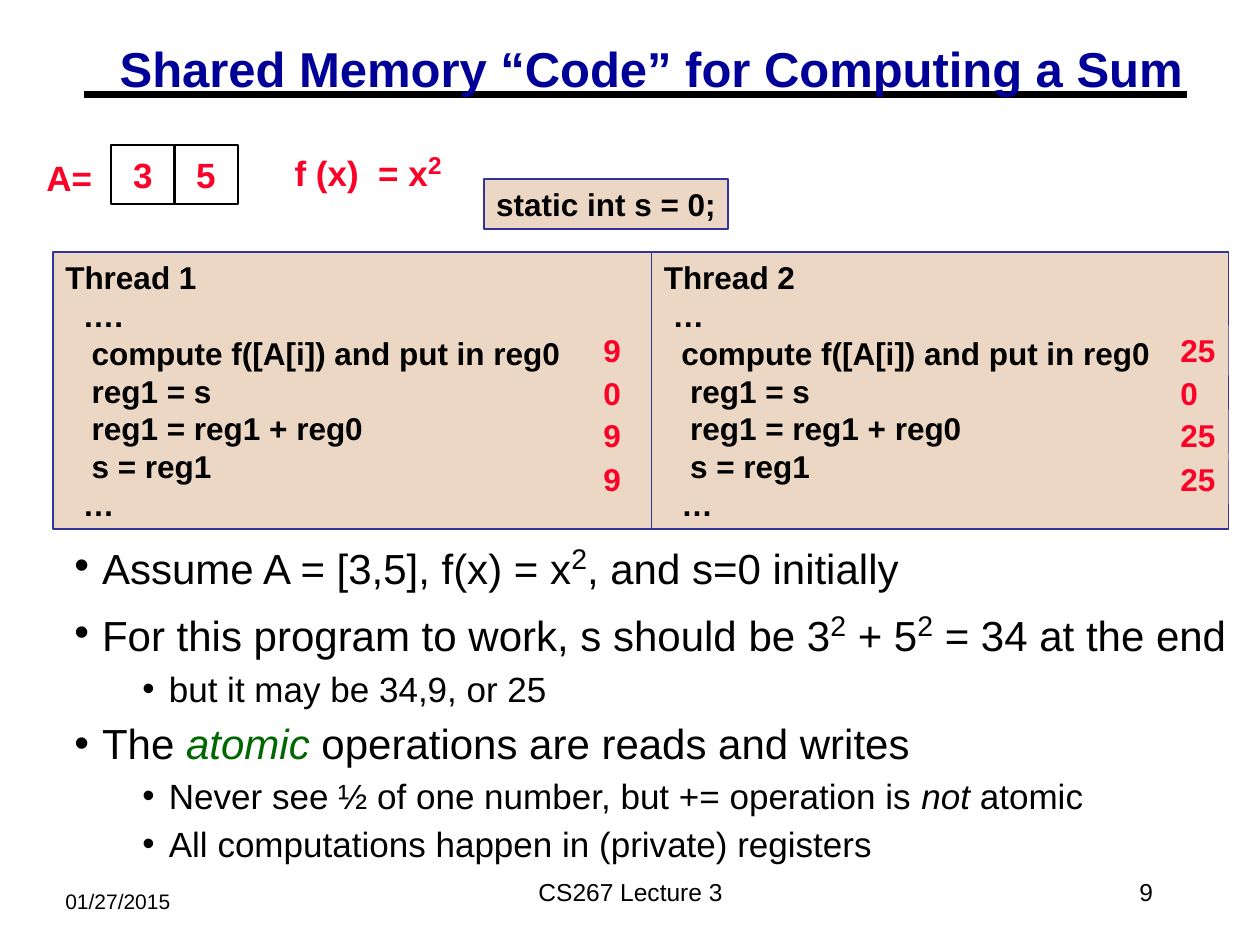
from dataclasses import dataclass
from typing import Optional

from lxml.etree import SubElement
from pptx import Presentation
from pptx.dml.color import RGBColor
from pptx.enum.shapes import MSO_CONNECTOR, MSO_SHAPE
from pptx.enum.text import MSO_ANCHOR as Anchor, PP_ALIGN as Align
from pptx.oxml.ns import qn
from pptx.util import Inches, Pt

BLACK = RGBColor(0x00, 0x00, 0x00)
NAVY = RGBColor(0x00, 0x00, 0x99)
BORDER = RGBColor(0x33, 0x33, 0x99)
SAND = RGBColor(0xEB, 0xD7, 0xC3)
RED = RGBColor(0xFC, 0x01, 0x28)
GREEN = RGBColor(0x00, 0x66, 0x00)
FONT = "Arial"


@dataclass
class Span:
    text: str
    size: Optional[float] = None
    color: RGBColor = BLACK
    italic: bool = False
    raised: bool = False


@dataclass
class Bullet:
    spans: list[Span]
    level: int = 0


@dataclass
class Box:
    left: float
    top: float
    width: float
    height: float
    text: str
    size: float = 18
    color: RGBColor = BLACK
    bold: bool = True
    fill: Optional[RGBColor] = None
    line: Optional[RGBColor] = None
    align: Align = Align.LEFT
    anchor: Anchor = Anchor.TOP
    wrap: bool = False


def style(r, size: float, color: RGBColor, bold: bool = False) -> None:
    r.font.name = FONT
    r.font.size = Pt(size)
    r.font.bold = bold
    r.font.color.rgb = color


def raise_run(r) -> None:
    r.font._element.set("baseline", "30000")


def set_margins(tf, side: float, end: float) -> None:
    tf.margin_left = tf.margin_right = Inches(side)
    tf.margin_top = tf.margin_bottom = Inches(end)


def draw_box(s, box: Box):
    place = [Inches(v) for v in (box.left, box.top, box.width, box.height)]
    if box.fill is None and box.line is None:
        sp = s.shapes.add_textbox(*place)
    else:
        sp = s.shapes.add_shape(MSO_SHAPE.RECTANGLE, *place)
        sp.shadow.inherit = False
        for fill, color in ((sp.fill, box.fill), (sp.line.fill, box.line)):
            if color is None:
                fill.background()
            else:
                fill.solid()
                fill.fore_color.rgb = color
        if box.line is not None:
            sp.line.width = Pt(1)
    tf = sp.text_frame
    set_margins(tf, 0.1, 0.05)
    tf.word_wrap = box.wrap
    tf.vertical_anchor = box.anchor
    tf.text = box.text
    for p in tf.paragraphs:
        p.alignment = box.align
        for r in p.runs:
            style(r, box.size, box.color, box.bold)
    return sp


def draw_title(s, text: str) -> None:
    rule = s.shapes.add_connector(
        MSO_CONNECTOR.STRAIGHT, Inches(0.67), Inches(0.75), Inches(9.42), Inches(0.75))
    rule.line.color.rgb = BLACK
    rule.line.width = Pt(3.75)
    SubElement(rule.element.spPr, qn("a:effectLst"))
    title = s.shapes.title
    rule.element.addnext(title.element)
    title.left, title.top = Inches(0.88), Inches(0.34)
    title.width, title.height = Inches(8.59), Inches(0.46)
    tf = title.text_frame
    set_margins(tf, 0.07, 0.03)
    tf.word_wrap = True
    tf.vertical_anchor = Anchor.TOP
    tf.text = text
    p = tf.paragraphs[0]
    p.alignment = Align.LEFT
    p.line_spacing = 0.87
    style(p.runs[0], 28, NAVY, True)


def draw_bullets(s, bullets: list[Bullet]) -> None:
    sp = s.shapes.add_textbox(Inches(0.52), Inches(4.22), Inches(9.48), Inches(2.67))
    tf = sp.text_frame
    tf.word_wrap = True
    set_margins(tf, 0.07, 0.03)
    for i, bullet in enumerate(bullets):
        size, before, margin, hang = ((24, 4.5, 0.22, 0.22), (20, 3.7, 0.75, 0.21))[bullet.level]
        p = tf.add_paragraph() if i else tf.paragraphs[0]
        p.level = bullet.level
        if i:
            p.space_before = Pt(before)
        pPr = p._p.get_or_add_pPr()
        pPr.set("marL", str(Inches(margin)))
        pPr.set("indent", str(-Inches(hang)))
        color = SubElement(pPr, qn("a:buClr"))
        SubElement(color, qn("a:srgbClr"), val=str(BLACK))
        SubElement(pPr, qn("a:buFont"), typeface=FONT)
        SubElement(pPr, qn("a:buChar"), char="•")
        for span in bullet.spans:
            r = p.add_run()
            r.text = span.text
            style(r, span.size or size, span.color)
            r.font.italic = span.italic
            if span.raised:
                raise_run(r)


def draw_threads(s) -> None:
    top, height = 2, 2.2
    steps = "   reg1 = s\n   reg1 = reg1 + reg0\n   s = reg1\n  …"
    compute = "compute f([A[i]) and put in reg0"
    threads = (
        (0.42, 4.75, f"Thread 1\n  ….\n   {compute}\n{steps}"),
        (5.17, 4.58, f"Thread 2\n …\n  {compute}\n{steps}"),
    )
    for left, width, code in threads:
        draw_box(s, Box(left, top, width, height, code, fill=SAND, line=BORDER, wrap=True))
    draw_box(s, Box(3.84, 1.42, 1.94, 0.4, "static int s = 0;", fill=SAND, line=BORDER))
    for left, values in ((4.69, ("9", "0", "9", "9")), (9.27, ("25", "0", "25", "25"))):
        for y, value in zip((2.58, 2.92, 3.25, 3.6), values):
            width = 0.2 + 0.14 * len(value)
            draw_box(s, Box(left, y, width, 0.4, value, color=RED, fill=SAND))


def draw_inputs(s) -> None:
    for i, value in enumerate(("3", "5")):
        draw_box(s, Box(0.88 + 0.5 * i, 1.15, 0.51, 0.47, value, 20, RED, line=BLACK,
                        align=Align.CENTER, anchor=Anchor.MIDDLE))
    draw_box(s, Box(0.27, 1.19, 0.6, 0.44, "A=", 20, RED, wrap=True))
    sp = draw_box(s, Box(2.24, 1.1, 1.5, 0.5, "f (x)  = x", 20, RED, wrap=True))
    r = sp.text_frame.paragraphs[0].add_run()
    r.text = "2"
    style(r, 24, RED, True)
    raise_run(r)


def main() -> None:
    prs = Presentation()
    prs.slide_width, prs.slide_height = Inches(10), Inches(7.5)
    s = prs.slides.add_slide(prs.slide_layouts[5])
    draw_title(s, "Shared Memory “Code” for Computing a Sum")
    draw_box(s, Box(0.42, 7, 1.92, 0.3, "01/27/2015", 12, bold=False, wrap=True))
    draw_box(s, Box(3.42, 6.83, 3.17, 0.5, "CS267 Lecture 3", 14, bold=False,
                    align=Align.CENTER, anchor=Anchor.MIDDLE))
    draw_box(s, Box(7.17, 6.83, 2.08, 0.5, "9", 14, bold=False,
                    align=Align.RIGHT, anchor=Anchor.MIDDLE))
    square = Span("2", 28, raised=True)
    draw_threads(s)
    draw_bullets(s, [
        Bullet([Span("Assume A = [3,5], f(x) = x"), square, Span(", and s=0 initially")]),
        Bullet([Span("For this program to work, s should be 3"), square,
                Span(" + 5"), square, Span(" = 34 at the end")]),
        Bullet([Span("but it may be 34,9, or 25")], 1),
        Bullet([Span("The "), Span("atomic", color=GREEN, italic=True),
                Span(" operations are reads and writes")]),
        Bullet([Span("Never see ½ of one number, but += operation is "),
                Span("not", italic=True), Span(" atomic")], 1),
        Bullet([Span("All computations happen in (private) registers")], 1),
    ])
    draw_inputs(s)
    prs.save("out.pptx")


if __name__ == "__main__":
    main()
